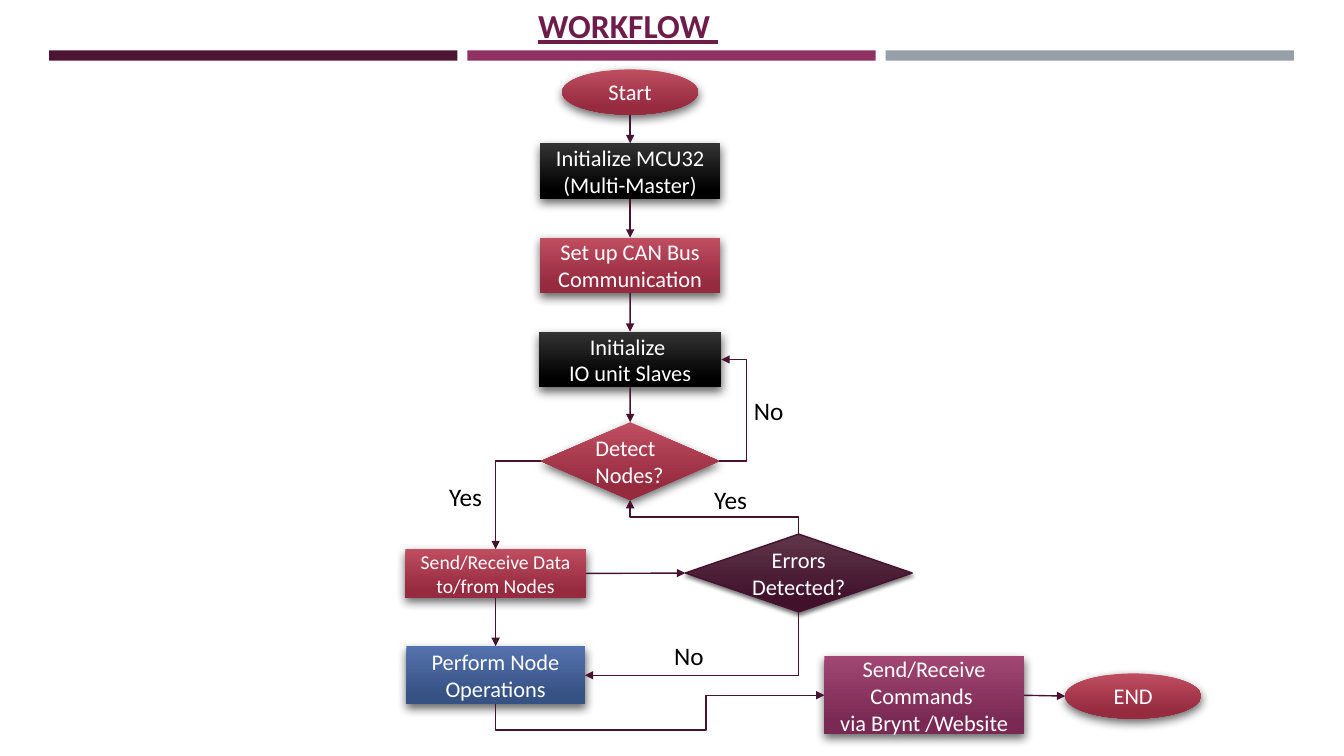
import pptx
import pptx.util
import pptx.dml.color
import pptx.enum.shapes
import pptx.enum.text
import pptx.oxml.ns
from lxml import etree

Cm, Pt = pptx.util.Cm, pptx.util.Pt
qn = pptx.oxml.ns.qn
Kind = pptx.enum.shapes.MSO_SHAPE
Wire = pptx.enum.shapes.MSO_CONNECTOR
Align = pptx.enum.text.PP_ALIGN
Anchor = pptx.enum.text.MSO_ANCHOR
Fit = pptx.enum.text.MSO_AUTO_SIZE
TOP, LEFT, BOTTOM, RIGHT = range(4)

COLORS = {"plum": "4D1434", "magenta": "903163", "grey": "969FA7", "title": "6E1D4A",
          "wire": "45122F", "white": "FFFFFF", "black": "000000"}
GRADIENTS = {"red": ("BF4E61", "962A3F"), "dark": ("333333", "000000"),
             "blue": ("5472AE", "365284"), "pink": ("A24774", "792953"),
             "wine": ("5F3649", "41112C")}


def rgb(name):
    return pptx.dml.color.RGBColor.from_string(COLORS.get(name, name))


def write(frame, lines, color, size, align, **extra):
    """Fill a text frame with one paragraph per line."""
    for number, line in enumerate(lines):
        para = frame.paragraphs[0] if number == 0 else frame.add_paragraph()
        para.alignment = align
        span = para.add_run()
        span.text = line
        font_format = {"name": "Calibri", "size": Pt(size), **extra}
        for key, value in font_format.items():
            setattr(span.font, key, value)
        span.font.color.rgb = rgb(color)


deck = pptx.Presentation()
deck.slide_width, deck.slide_height = Cm(33.87), Cm(19.05)
page = deck.slides.add_slide(deck.slide_layouts[5])

# Three bars under the title
for column, color in enumerate(("plum", "magenta", "grey")):
    bar = page.shapes.add_shape(Kind.RECTANGLE, Cm(1.24 + 10.54 * column), Cm(1.27),
                                Cm(10.29), Cm(0.26))
    bar.shadow.inherit = False
    bar.fill.solid()
    bar.fill.fore_color.rgb = rgb(color)
    bar.line.fill.background()

# Title
title = page.shapes.title
title_box = {"left": Cm(13.31), "top": Cm(0), "width": Cm(6.17), "height": Cm(1.27)}
for key, value in title_box.items():
    setattr(title, key, value)
title.text_frame.vertical_anchor = Anchor.TOP
title.text_frame.auto_size = Fit.SHAPE_TO_FIT_TEXT
write(title.text_frame, ["WORKFLOW "], "title", 24, Align.LEFT, bold=True, underline=True)

# Steps: kind, centre x, top, width, height, gradient, text size, lines
MAIN, SIDE = 15.88, 12.49
STEPS = {
    "start": (Kind.OVAL, MAIN, 1.75, 3.43, 1.14, "red", 16, ["Start"]),
    "masters": (Kind.RECTANGLE, MAIN, 3.61, 4.55, 1.4, "dark", 16,
                ["Initialize MCU32 (Multi-Master)"]),
    "bus": (Kind.RECTANGLE, MAIN, 5.99, 4.55, 1.4, "red", 16,
            ["Set up CAN Bus Communication"]),
    "slaves": (Kind.RECTANGLE, MAIN, 8.36, 4.6, 1.4, "dark", 16,
               ["Initialize ", "IO unit Slaves"]),
    "detect": (Kind.DIAMOND, MAIN, 10.64, 4.5, 1.96, "red", 16, ["Detect Nodes?"]),
    "data": (Kind.RECTANGLE, SIDE, 13.84, 4.55, 1.22, "red", 14,
             ["Send/Receive Data to/from Nodes"]),
    "operate": (Kind.RECTANGLE, SIDE, 16.28, 4.5, 1.47, "blue", 16,
                ["Perform Node Operations"]),
    "commands": (Kind.RECTANGLE, 23.29, 16.54, 5.03, 1.96, "pink", 16,
                 ["Send/Receive Commands ", "via Brynt /Website"]),
    "errors": (Kind.DIAMOND, 20.13, 13.46, 5.72, 1.96, "wine", 16, ["Errors", "Detected?"]),
    "end": (Kind.OVAL, 28.56, 16.97, 3.43, 1.14, "red", 16, ["END"]),
}
boxes, sides = {}, {}
for name, (kind, center, top, width, height, gradient, size, lines) in STEPS.items():
    box = page.shapes.add_shape(kind, Cm(center - width / 2), Cm(top), Cm(width), Cm(height))
    boxes[name] = box
    middle = top + height / 2
    sides[name] = [(center, top), (center - width / 2, middle),
                   (center, top + height), (center + width / 2, middle)]
    box.fill.gradient()
    box.fill.gradient_angle = 270
    for stop, color, position in zip(box.fill.gradient_stops, GRADIENTS[gradient], (0, 0.84)):
        stop.color.rgb = rgb(color)
        stop.position = position
    outlined = name == "errors"
    if outlined:
        box.line.color.rgb = rgb("wire")
        box.line.width = Pt(1)
    else:
        box.line.fill.background()

    # Soft shadow below the step
    box.shadow.inherit = False
    blur, distance, angle, opacity = (3, 2, 90, 55) if outlined else (7, 3, 84, 60)
    effects = box.element.spPr.find(qn("a:effectLst"))
    shadow = etree.SubElement(effects, qn("a:outerShdw"), blurRad=str(Pt(blur)),
                              dist=str(Pt(distance)), dir=str(angle * 60000), rotWithShape="0")
    shade = etree.SubElement(shadow, qn("a:srgbClr"), val=COLORS["black"])
    etree.SubElement(shade, qn("a:alpha"), val=str(opacity * 1000))

    box.text_frame.word_wrap = True
    box.text_frame.vertical_anchor = Anchor.MIDDLE
    write(box.text_frame, lines, "white", size,
          Align.LEFT if name == "detect" else Align.CENTER)

# Arrows: from, side, to, side, and for bent ones rotation, flips, preset, adjustments
ARROWS = [
    ("start", BOTTOM, "masters", TOP, None),
    ("masters", BOTTOM, "bus", TOP, None),
    ("bus", BOTTOM, "slaves", TOP, None),
    ("slaves", BOTTOM, "detect", TOP, None),
    ("data", RIGHT, "errors", LEFT, None),
    ("data", BOTTOM, "operate", TOP, None),
    ("commands", RIGHT, "end", LEFT, None),
    ("detect", LEFT, "data", TOP, (180, "V", "bentConnector2", [])),
    ("detect", RIGHT, "slaves", RIGHT, (0, "V", "bentConnector3", [13.7])),
    ("errors", TOP, "detect", BOTTOM, (270, "V", "bentConnector3", [0.5])),
    ("errors", BOTTOM, "operate", RIGHT, (90, "", "bentConnector2", [])),
    ("operate", BOTTOM, "commands", LEFT, (90, "HV", "bentConnector4", [-2.8, 0.64])),
]
for source, source_side, target, target_side, bend in ARROWS:
    (x1, y1), (x2, y2) = sides[source][source_side], sides[target][target_side]
    arrow = page.shapes.add_connector(Wire.ELBOW if bend else Wire.STRAIGHT,
                                      Cm(x1), Cm(y1), Cm(x2), Cm(y2))
    properties = arrow.element.spPr
    if bend:
        turn, flips, preset, adjustments = bend
        width, height = abs(x2 - x1), abs(y2 - y1)
        if turn % 180:
            width, height = height, width
        frame = {"left": Cm((x1 + x2 - width) / 2), "top": Cm((y1 + y2 - height) / 2),
                 "width": Cm(width), "height": Cm(height)}
        for key, value in frame.items():
            setattr(arrow, key, value)
        transform = properties.find(qn("a:xfrm"))
        transform.set("rot", str(turn * 60000))
        for axis in "HV":
            transform.set("flip" + axis, str(int(axis in flips)))
        geometry = properties.find(qn("a:prstGeom"))
        geometry.set("prst", preset)
        for number, value in enumerate(adjustments, 1):
            etree.SubElement(geometry.find(qn("a:avLst")), qn("a:gd"), name=f"adj{number}",
                             fmla=f"val {round(value * 100000)}")
    else:
        # Ovals number their sides differently, so only the other steps are joined
        if source != "start":
            arrow.begin_connect(boxes[source], source_side)
        if target != "end":
            arrow.end_connect(boxes[target], target_side)
    arrow.line.color.rgb = rgb("wire")
    arrow.line.width = Pt(1)
    etree.SubElement(properties.find(qn("a:ln")), qn("a:tailEnd"), type="triangle")
    etree.SubElement(properties, qn("a:effectLst"))

# Answers beside the decisions
for answer, left, top in (("Yes", 11.07, 12.01), ("No", 18.75, 9.83),
                          ("Yes", 17.75, 12.07), ("No", 16.74, 16)):
    label = page.shapes.add_textbox(Cm(left), Cm(top), Cm(1.4), Cm(1.02))
    label.text_frame.word_wrap = True
    label.text_frame.auto_size = Fit.SHAPE_TO_FIT_TEXT
    write(label.text_frame, [answer], "black", 18, Align.LEFT)

deck.save("out.pptx")
